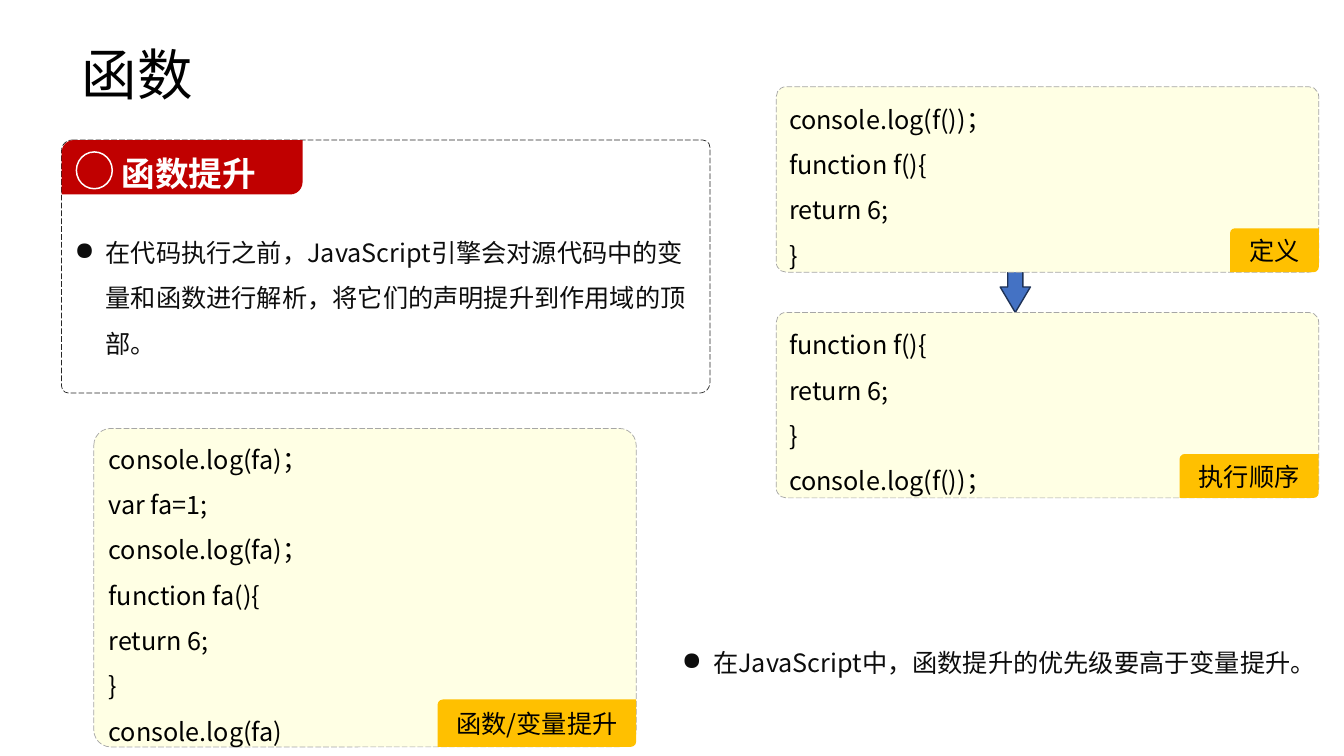
from dataclasses import dataclass

from lxml import etree
from pptx import Presentation
from pptx import util as u
from pptx.dml.color import RGBColor
from pptx.enum import dml, shapes, text
from pptx.oxml import ns

SLIDE_WIDTH, SLIDE_HEIGHT = u.Inches(13.33), u.Inches(7.5)
BODY_FONT, TITLE_FONT = "Noto Sans CJK JP", "Noto Sans CJK SC"
BLACK, WHITE, INK = "000000", "FFFFFF", "0D0D0D"
CREAM, AMBER, RED, BLUE = "FFFFE4", "FFC000", "C00000", "4472C4"
RECT = shapes.MSO_SHAPE.ROUNDED_RECTANGLE
DIAGONAL = shapes.MSO_SHAPE.ROUND_2_DIAG_RECTANGLE
CODE_WIDTH = 40.36


@dataclass
class Area:
    """Position and size in percent of the slide's width and height."""
    left: float
    top: float
    width: float
    height: float

    def emu(self) -> tuple[int, ...]:
        return (int(SLIDE_WIDTH * self.left / 100), int(SLIDE_HEIGHT * self.top / 100),
                int(SLIDE_WIDTH * self.width / 100), int(SLIDE_HEIGHT * self.height / 100))


@dataclass
class Style:
    size: float = 18
    color: str = BLACK
    bold: bool = False
    font: str = BODY_FONT
    spacing: float = 1.5
    align: text.PP_ALIGN = text.PP_ALIGN.LEFT
    bullet: str = ""


@dataclass
class CodeBox:
    area: Area
    lines: list[str]
    label: str
    label_width: float
    label_height: float


def rgb(color: str) -> RGBColor:
    return RGBColor.from_string(color)


def add_figure(slide, preset, area: Area, fill: str = "", line: str = "",
               line_width: float = 0.5, dashed: bool = False, adjust=()):
    figure = slide.shapes.add_shape(preset, *area.emu())
    figure.shadow.inherit = False
    for index, value in enumerate(adjust):
        figure.adjustments[index] = value
    if fill:
        figure.fill.solid()
        figure.fill.fore_color.rgb = rgb(fill)
    else:
        figure.fill.background()
    if line:
        figure.line.color.rgb = rgb(line)
        figure.line.width = u.Pt(line_width)
        if dashed:
            figure.line.dash_style = dml.MSO_LINE.LONG_DASH
    else:
        figure.line.fill.background()
    return figure


def write(figure, lines: list[str], style: Style, insets=(0.1, 0.05, 0.1, 0.05),
          anchor=text.MSO_ANCHOR.MIDDLE) -> None:
    """Fill a shape with paragraphs; insets are left, top, right, bottom in inches."""
    frame = figure.text_frame
    frame.word_wrap = True
    frame.vertical_anchor = anchor
    (frame.margin_left, frame.margin_top,
     frame.margin_right, frame.margin_bottom) = map(u.Inches, insets)
    for index, line in enumerate(lines):
        paragraph = frame.add_paragraph() if index else frame.paragraphs[0]
        paragraph.alignment = style.align
        paragraph.line_spacing = style.spacing
        if style.bullet:
            properties = paragraph._p.get_or_add_pPr()
            indent = u.Inches(0.31)
            properties.set("marL", str(indent))
            properties.set("indent", str(-indent))
            etree.SubElement(properties, ns.qn("a:buChar")).set("char", style.bullet)
        run = paragraph.add_run()
        run.text = line
        run.font.size = u.Pt(style.size)
        run.font.bold = style.bold
        run.font.color.rgb = rgb(style.color)
        run.font.name = style.font
        east_asian = etree.SubElement(run.font._element, ns.qn("a:ea"))
        east_asian.set("typeface", style.font)


def add_code_box(slide, box: CodeBox) -> None:
    """Draw a code box with its label in the bottom right corner."""
    area = box.area
    code = add_figure(slide, RECT, area, CREAM, "A6A6A6", dashed=True, adjust=[0.053])
    write(code, box.lines, Style(), (0.1, 0, 0.1, 0))
    corner = Area(area.left + area.width - box.label_width,
                  area.top + area.height - box.label_height,
                  box.label_width, box.label_height)
    label = add_figure(slide, DIAGONAL, corner, AMBER, adjust=[0.114, 0])
    write(label, [box.label], Style(spacing=1, align=text.PP_ALIGN.CENTER))


def add_panel(slide) -> None:
    """Draw the explanation panel with its red heading."""
    left, top = 4.58, 18.53
    panel = add_figure(slide, DIAGONAL, Area(left, top, 48.24, 33.47), line="262626",
                       dashed=True, adjust=[0.041, 0.028])
    write(panel, ["在代码执行之前，JavaScript引擎会对源代码中的变量和函数进行解析，"
                  "将它们的声明提升到作用域的顶部。"],
          Style(color=INK, bullet="●"), (0.1, 0.63, 0.1, 0.16))
    heading = add_figure(slide, DIAGONAL, Area(left, top, 17.93, 7.2), RED,
                         adjust=[0.227, 0])
    write(heading, ["函数提升"], Style(size=24, color=WHITE, bold=True),
          (0.56, 0, 0.04, 0.08))
    add_figure(slide, shapes.MSO_SHAPE.DONUT, Area(5.63, 20, 2.78, 5.07), WHITE,
               adjust=[0.04])


def main() -> None:
    deck = Presentation()
    deck.slide_width, deck.slide_height = SLIDE_WIDTH, SLIDE_HEIGHT
    slide = deck.slides.add_slide(deck.slide_layouts[6])

    title = slide.shapes.add_textbox(*Area(5.33, 6.4, 87.77, 7.6).emu())
    write(title, ["函数"], Style(size=39.6, font=TITLE_FONT, spacing=0.9))

    call = "console.log(f())；"
    log = "console.log(fa)"
    body = ["return 6;", "}"]
    hoisting = CodeBox(Area(6.98, 56.67, CODE_WIDTH, 42.13),
                       [log + "；", "var fa=1;", log + "；", "function fa(){", *body, log],
                       "函数/变量提升", 14.78, 6.27)
    execution = CodeBox(Area(57.76, 41.33, CODE_WIDTH, 24.53),
                        ["function f(){", *body, call], "执行顺序", 10.35, 5.8)
    definition = CodeBox(Area(57.76, 11.47, CODE_WIDTH, 24.53),
                         [call, "function f(){", *body], "定义", 6.6, 5.8)

    add_code_box(slide, hoisting)
    add_panel(slide)
    add_figure(slide, shapes.MSO_SHAPE.DOWN_ARROW, Area(74.42, 33.73, 2.25, 7.6), BLUE,
               "1E3256", line_width=1, adjust=[0.5, 0.842])
    add_code_box(slide, execution)
    add_code_box(slide, definition)

    note = slide.shapes.add_textbox(*Area(50, 82.93, 50, 6.67).emu())
    write(note, ["在JavaScript中，函数提升的优先级要高于变量提升。"],
          Style(color=INK, bullet="●"), anchor=text.MSO_ANCHOR.TOP)
    deck.save("out.pptx")


if __name__ == "__main__":
    main()
